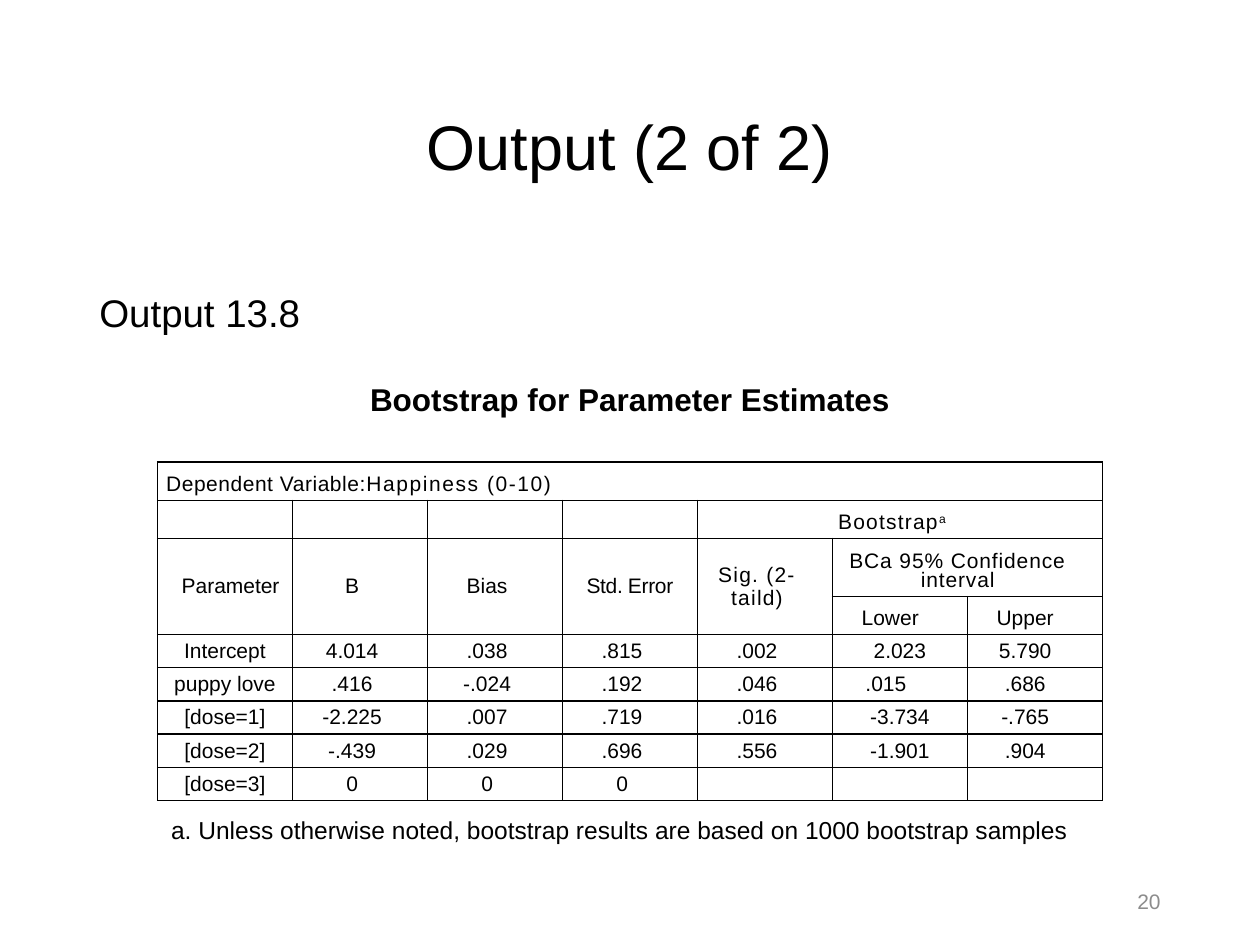
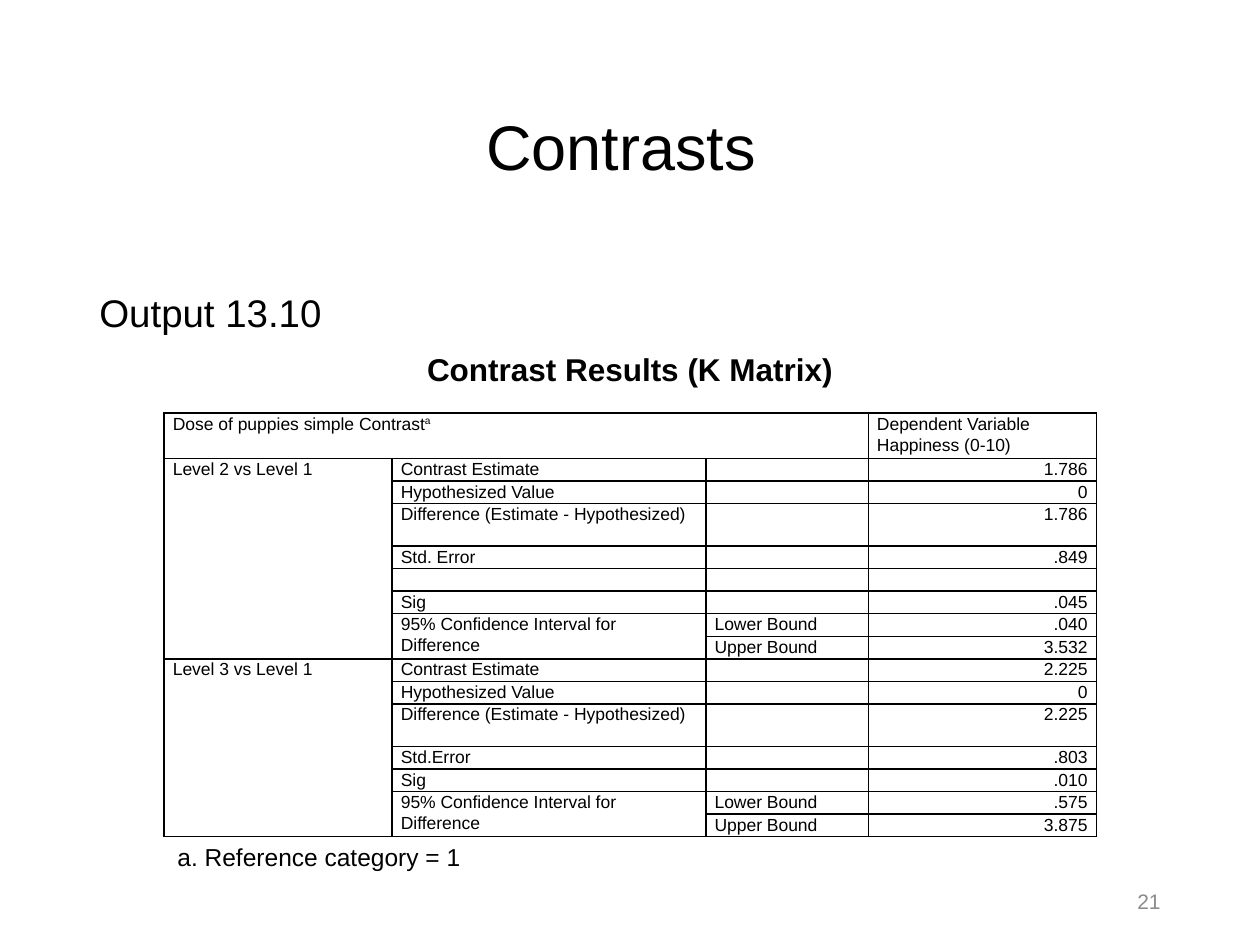
import pptx
import pptx.dml.color
import pptx.enum.text
import pptx.util
from lxml import etree
from pptx.oxml.ns import qn

Pt = pptx.util.Pt
ALIGN = pptx.enum.text.PP_ALIGN
ANCHOR = pptx.enum.text.MSO_ANCHOR

FONT = "Arial"
BLACK = pptx.dml.color.RGBColor(0x00, 0x00, 0x00)
GREY = pptx.dml.color.RGBColor(0x8C, 0x8C, 0x8C)
SUPERSCRIPT_A = ("a", {"baseline": 30000})
CELL_INSET = 5

# A cell is a string, a list of (text, run attributes), or None where it is merged.
BOOTSTRAP_ROWS = [
    [[("Dependent Variable:", {"spc": 30}), ("Happiness (0-10)", {"spc": 90})]] + [None] * 6,
    ["", "", "", "", [("Bootstrap", {"spc": 70}), SUPERSCRIPT_A], None, None],
    ["Parameter", [("B", {"spc": -20})], "Bias", [("Std. Error", {"spc": -20})],
     [("Sig. (2-taild)", {"spc": 70})], [("BCa 95% Confidence interval", {"spc": 50})], None],
    [None, None, None, None, None, "Lower", "Upper"],
    ["Intercept", "4.014", ".038", ".815", ".002", "2.023", "5.790"],
    ["puppy love", ".416", "-.024", ".192", ".046", ".015", ".686"],
    ["[dose=1]", "-2.225", ".007", ".719", ".016", "-3.734", "-.765"],
    ["[dose=2]", "-.439", ".029", ".696", ".556", "-1.901", ".904"],
    ["[dose=3]", "0", "0", "0", "", "", ""],
]
CONTRAST_ROWS = [
    [[("Dose of puppies simple Contrast", {}), SUPERSCRIPT_A], None, None,
     "Dependent Variable Happiness (0-10)"],
    ["Level 2 vs Level 1", "Contrast Estimate", "", "1.786"],
    [None, "Hypothesized Value", "", "0"],
    [None, "Difference (Estimate - Hypothesized)", "", "1.786"],
    [None, "Std. Error", "", ".849"],
    [None, "", "", ""],
    [None, "Sig", "", ".045"],
    [None, "95% Confidence Interval for Difference", "Lower Bound", ".040"],
    [None, None, "Upper Bound", "3.532"],
    ["Level 3 vs Level 1", "Contrast Estimate", "", "2.225"],
    [None, "Hypothesized Value", "", "0"],
    [None, "Difference (Estimate - Hypothesized)", "", "2.225"],
    [None, "Std.Error", "", ".803"],
    [None, "Sig", "", ".010"],
    [None, "95% Confidence Interval for Difference", "Lower Bound", ".575"],
    [None, None, "Upper Bound", "3.875"],
]


def bootstrap_format(row, column):
    """Alignment, line spacing and extra insets of a bootstrap table cell."""
    is_tight = row in (0, 1, 3) or (row, column) == (2, 5)
    right = [0, 9, 9, 9, 9, 11, 11][column]
    if (row, column) == (2, 3) or (column == 5 and row in (4, 6, 7)):
        right = 0
    elif (row, column) == (5, 5):
        right = 16
    return {
        "alignment": ALIGN.LEFT if row == 0 else ALIGN.CENTER,
        "line_spacing": 0.8 if is_tight else 1.0,
        "top": 5.4 if is_tight else 0,
        "left": 6.5 if (row, column) == (2, 0) else 0,
        "right": right,
    }


def contrast_format(row, column):
    """Alignment, line spacing and extra insets of a contrast table cell."""
    is_value = row > 0 and column == 3
    return {"alignment": ALIGN.RIGHT if is_value else ALIGN.LEFT,
            "line_spacing": 1.07, "top": 0, "left": 0, "right": 0}


SLIDES = [
    {
        "title": "Output (2 of 2)",
        "output": "Output 13.8",
        "caption": ("Bootstrap for Parameter Estimates", (177, 213.8, 366, 29)),
        "footnote": ("a. Unless otherwise noted, bootstrap results are based on 1000 bootstrap samples",
                     (90.7, 462.2, 537, 24.5)),
        "number": "20",
        "table": {
            "rows": BOOTSTRAP_ROWS, "left": 90, "top": 264, "size": 12,
            "widths": [77.15] * 7,
            "heights": [22, 21.7, 33.2, 21.7] + [19] * 5,
            # row, column, rows spanned, columns spanned
            "spans": [(0, 0, 1, 7), (1, 4, 1, 3), (2, 5, 1, 2)]
                     + [(2, column, 2, 1) for column in range(5)],
            "anchor": ANCHOR.MIDDLE, "format": bootstrap_format,
        },
    },
    {
        "title": "Contrasts ",
        "output": "Output 13.10",
        "caption": ("Contrast Results (K Matrix)", (135.4, 196.6, 449.3, 29)),
        "footnote": ("a. Reference category = 1", (94.3, 477.4, 449.3, 24.5)),
        "number": "21",
        "table": {
            "rows": CONTRAST_ROWS, "left": 93.8, "top": 236, "size": 10,
            "widths": [130.3, 179.3, 92.8, 130.3],
            "heights": [26 if row == 0 else 24.4 if row in (3, 11) else 12.85
                        for row in range(len(CONTRAST_ROWS))],
            "spans": [(0, 0, 1, 3), (1, 0, 8, 1), (7, 1, 2, 1), (9, 0, 7, 1), (14, 1, 2, 1)],
            "anchor": ANCHOR.TOP, "format": contrast_format,
        },
    },
]

TITLE = {"box": (49.7, 33.8, 620.6, 104.4), "size": 36, "alignment": ALIGN.CENTER,
         "anchor": ANCHOR.MIDDLE, "line_spacing": 0.9}
OUTPUT = {"box": (49.7, 161.5, 620.6, 42), "size": 22}
CAPTION = {"size": 18, "alignment": ALIGN.CENTER, "bold": True}
FOOTNOTE = {"size": 14}
NUMBER = {"box": (508.3, 500.4, 162, 28.8), "size": 12, "alignment": ALIGN.RIGHT,
          "anchor": ANCHOR.MIDDLE, "color": GREY}


def set_attributes(target, values):
    for name, value in values.items():
        setattr(target, name, value)


def add_run(paragraph, text, size, color=BLACK, bold=False):
    run = paragraph.add_run()
    run.text = text
    set_attributes(run.font, {"name": FONT, "size": Pt(size), "bold": bold})
    run.font.color.rgb = color
    return run


def add_text(slide, text, box, size, alignment=ALIGN.LEFT, anchor=ANCHOR.TOP,
             line_spacing=1.0, color=BLACK, bold=False):
    frame = slide.shapes.add_textbox(*map(Pt, box)).text_frame
    set_attributes(frame, {"word_wrap": True, "vertical_anchor": anchor})
    paragraph = frame.paragraphs[0]
    set_attributes(paragraph, {"alignment": alignment, "line_spacing": line_spacing})
    add_run(paragraph, text, size, color, bold)


def add_borders(cell):
    properties = cell._tc.get_or_add_tcPr()
    for side in ("lnL", "lnR", "lnT", "lnB"):
        line = etree.SubElement(properties, qn("a:" + side), w=str(Pt(1)))
        fill = etree.SubElement(line, qn("a:solidFill"))
        etree.SubElement(fill, qn("a:srgbClr"), val=str(BLACK))


def fill_cell(cell, content, size, anchor, layout):
    add_borders(cell)
    cell.fill.background()
    set_attributes(cell, {
        "vertical_anchor": anchor,
        "margin_left": Pt(CELL_INSET + layout["left"]),
        "margin_right": Pt(CELL_INSET + layout["right"]),
        "margin_top": Pt(layout["top"]),
        "margin_bottom": 0,
    })
    paragraph = cell.text_frame.paragraphs[0]
    set_attributes(paragraph, {name: layout[name] for name in ("alignment", "line_spacing")})
    if not content:
        # The end mark keeps an empty cell from growing its row.
        etree.SubElement(paragraph._p, qn("a:endParaRPr"), sz=str(size * 100))
        return
    for text, attributes in [(content, {})] if isinstance(content, str) else content:
        run = add_run(paragraph, text, size)
        for name, value in attributes.items():
            run._r.get_or_add_rPr().set(name, str(value))


def add_table(slide, data):
    rows, widths, heights = data["rows"], data["widths"], data["heights"]
    frame = slide.shapes.add_table(len(rows), len(widths), Pt(data["left"]), Pt(data["top"]),
                                   Pt(sum(widths)), Pt(sum(heights)))
    table = frame.table
    set_attributes(table, {"first_row": False, "horz_banding": False})
    for column, width in zip(table.columns, widths):
        column.width = Pt(width)
    for row, height in zip(table.rows, heights):
        row.height = Pt(height)
    for row, contents in enumerate(rows):
        for column, content in enumerate(contents):
            fill_cell(table.cell(row, column), content, data["size"], data["anchor"],
                      data["format"](row, column))
    for row, column, row_span, column_span in data["spans"]:
        last = table.cell(row + row_span - 1, column + column_span - 1)
        table.cell(row, column).merge(last)


def main():
    presentation = pptx.Presentation()
    set_attributes(presentation, {"slide_width": Pt(720), "slide_height": Pt(540)})
    for content in SLIDES:
        slide = presentation.slides.add_slide(presentation.slide_layouts[6])
        add_text(slide, content["title"], **TITLE)
        add_text(slide, content["output"], **OUTPUT)
        add_text(slide, *content["caption"], **CAPTION)
        add_table(slide, content["table"])
        add_text(slide, *content["footnote"], **FOOTNOTE)
        add_text(slide, content["number"], **NUMBER)
    presentation.save("out.pptx")


if __name__ == "__main__":
    main()
